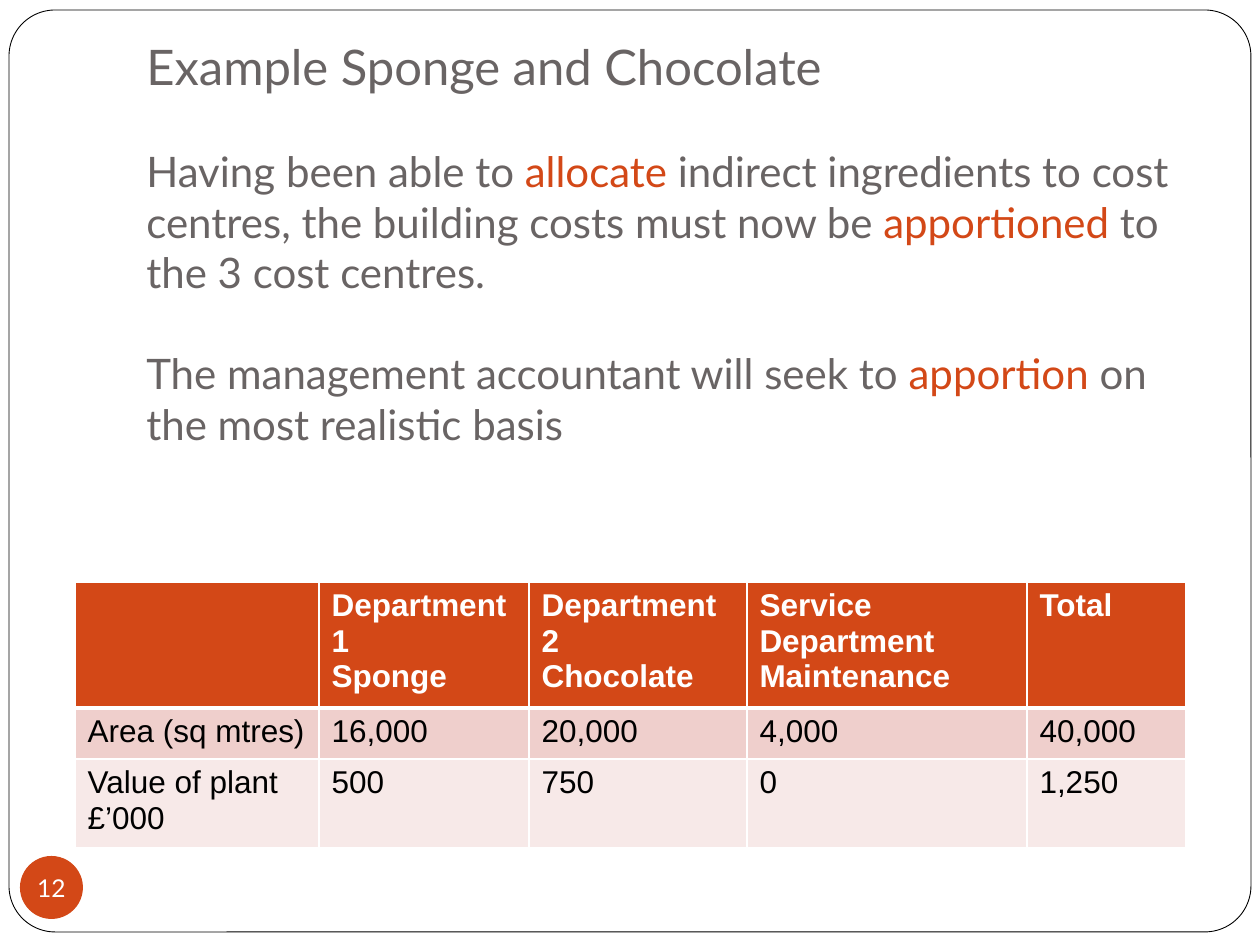
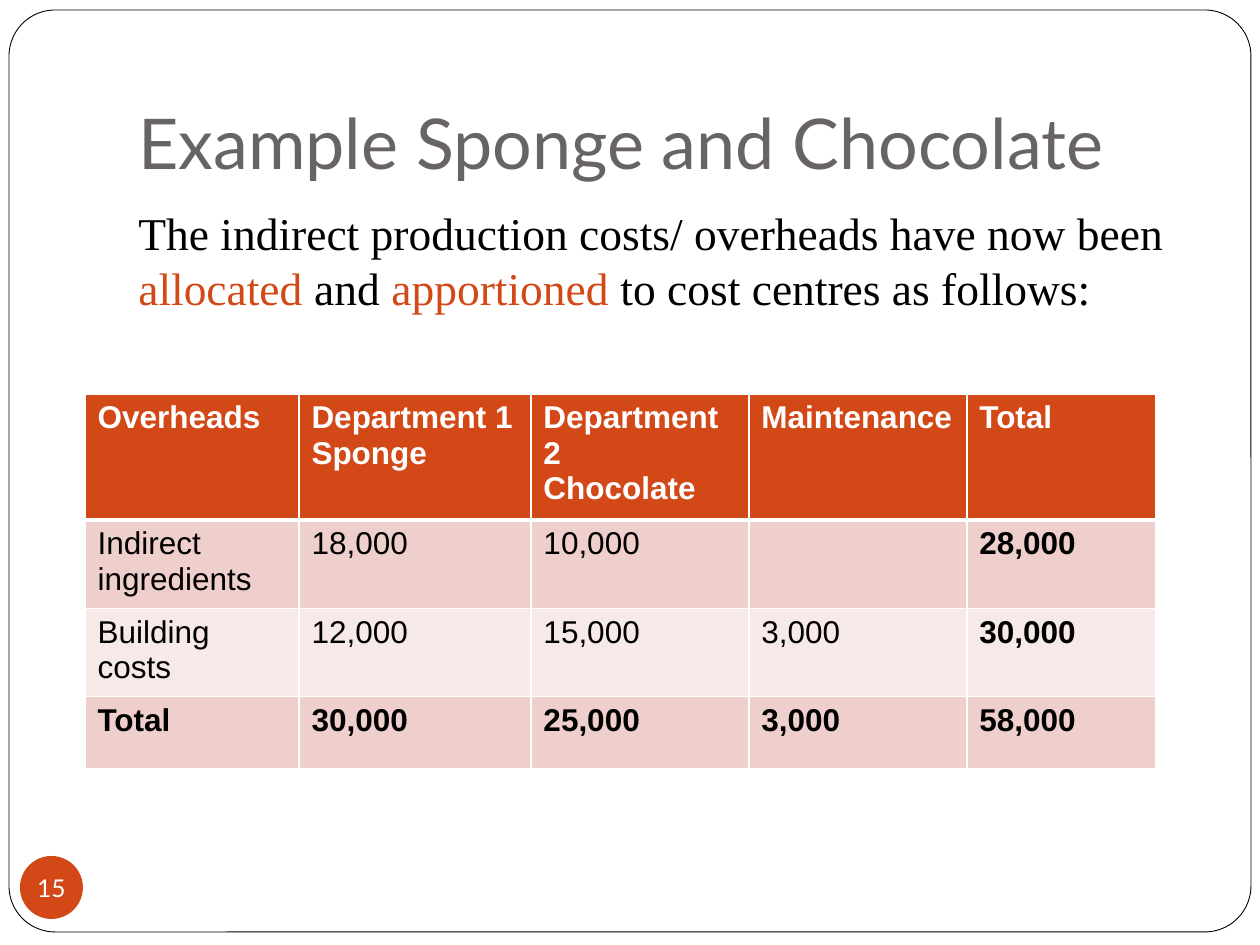
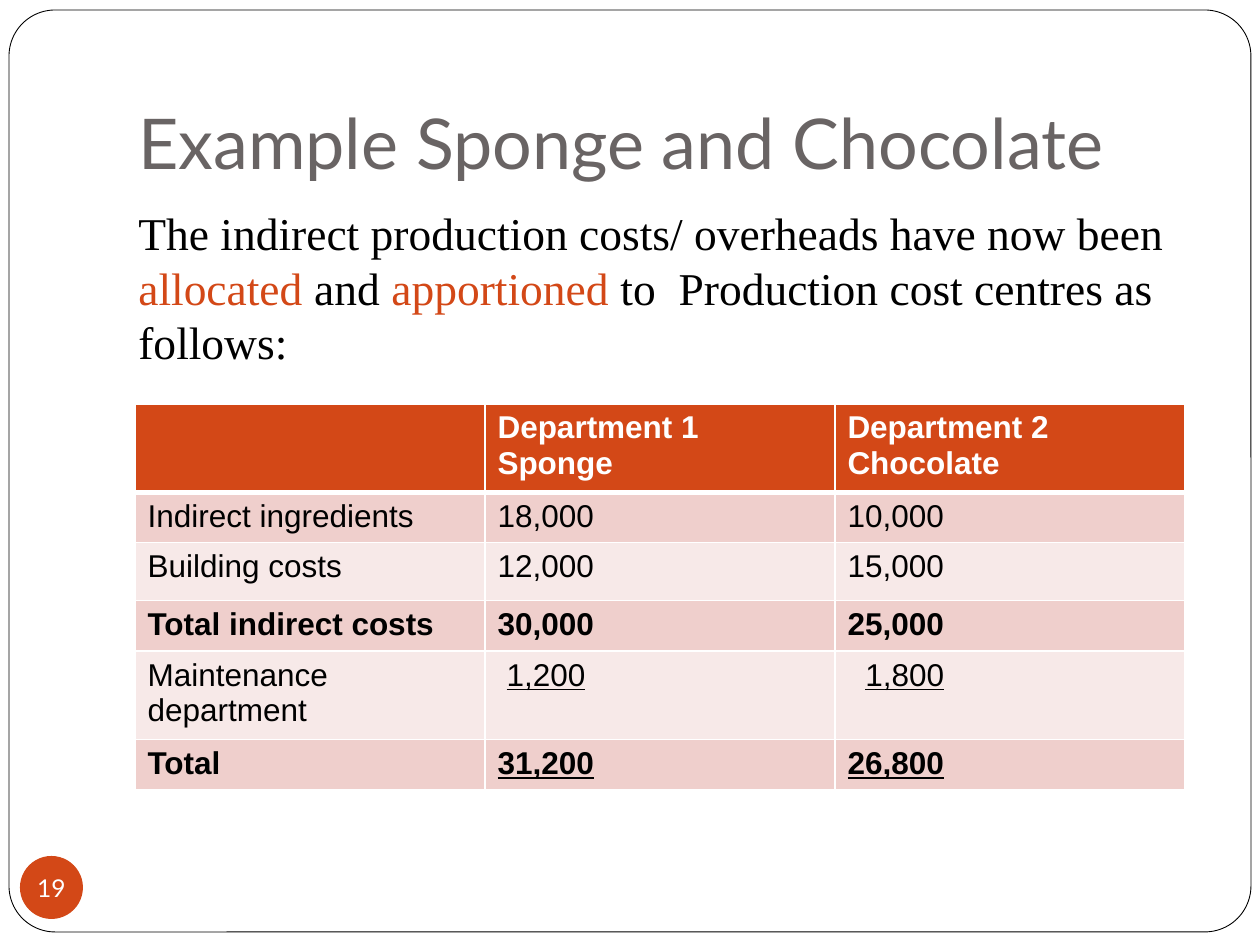
"""Build three slides on allocating and apportioning overheads to cost centres."""
from dataclasses import dataclass, field

import lxml.etree
import pptx
import pptx.dml.color
import pptx.enum.shapes
import pptx.enum.text
import pptx.oxml.ns
import pptx.util

EMU_PER_PX = 914400 // 126


@dataclass(frozen=True)
class Theme:
    """Colours, fonts and type sizes shared by the slides."""

    accent: str = "D34817"
    grey: str = "696464"
    black: str = "000000"
    white: str = "FFFFFF"
    bands: tuple[str, str] = ("EFCFCC", "F7E9E8")
    heading_font: str = "Lato"
    body_font: str = "Times New Roman"
    table_font: str = "Arial"
    title_size: int = 40
    small_title_size: int = 28
    statement_size: int = 24
    body_size: int = 26
    table_size: int = 18
    number_size: int = 14


@dataclass(frozen=True)
class Box:
    """A rectangle in px."""

    left: int
    top: int
    width: int
    height: int


@dataclass(frozen=True)
class TableSpec:
    """Content, grid and emphasis of one table."""

    left: int
    top: int
    columns: list[int]
    rows: list[int]
    cells: list[list[str]]
    bold_rows: tuple[int, ...] = ()
    bold_columns: tuple[int, ...] = ()
    underlined_rows: tuple[int, ...] = ()
    indents: dict[tuple[int, int], int] = field(default_factory=dict)


THEME = Theme()
FRAME = Box(9, 10, 1242, 922)
NUMBER_DISC = Box(20, 856, 63, 63)
STATEMENT = Box(134, 26, 1071, 435)
TITLE = Box(126, 38, 1071, 158)
BODY = Box(126, 199, 1071, 630)
TITLE_TEXT = "Example Sponge and Chocolate"
INTRODUCTION = "The indirect production costs/ overheads have now been *allocated* and *apportioned* to "

BASIS_TABLE = TableSpec(
    75, 582, [244, 210, 218, 280, 159], [118, 51, 83],
    [
        ["", "Department 1\nSponge", "Department 2\nChocolate", "Service Department\nMaintenance", "Total"],
        ["Area (sq mtres)", "16,000", "20,000", "4,000", "40,000"],
        ["Value of plant £’000", "500", "750", "0", "1,250"],
    ],
)
COST_CENTRE_TABLE = TableSpec(
    85, 394, [214, 232, 218, 218, 189], [118, 83, 83, 72],
    [
        ["Overheads", "Department 1 Sponge", "Department 2\nChocolate", "Maintenance", "Total"],
        ["Indirect ingredients", "18,000", "10,000", "", "28,000"],
        ["Building costs", "12,000", "15,000", "3,000", "30,000"],
        ["Total", "30,000", "25,000", "3,000", "58,000"],
    ],
    bold_rows=(3,),
    bold_columns=(4,),
)
PRODUCTION_TABLE = TableSpec(
    135, 404, [350] * 3, [82, 47, 58, 48, 83, 48],
    [
        ["", "Department 1\nSponge", "Department 2\nChocolate"],
        ["Indirect ingredients", "18,000", "10,000"],
        ["Building costs", "12,000", "15,000"],
        ["Total indirect costs", "30,000", "25,000"],
        ["Maintenance department", "1,200", "1,800"],
        ["Total", "31,200", "26,800"],
    ],
    bold_rows=(3, 5),
    underlined_rows=(4, 5),
    indents={(4, 1): 9, (4, 2): 18},
)


def px(length: int) -> int:
    """Turn px into EMU."""
    return pptx.util.Emu(length * EMU_PER_PX)


def place(box: Box) -> tuple[int, int, int, int]:
    """Return the left, top, width and height of a box in EMU."""
    return px(box.left), px(box.top), px(box.width), px(box.height)


def rgb(colour: str) -> pptx.dml.color.RGBColor:
    """Turn a hex string into a colour."""
    return pptx.dml.color.RGBColor.from_string(colour)


def write_text(frame, text: str, *, font: str, size: int, colour: str, bold: bool = False,
               underline: bool = False, align=None, space_before: float = 0,
               line_spacing: float | None = None) -> None:
    """Append a paragraph per line, with the pieces between asterisks in the accent colour."""
    for line in text.split("\n"):
        paragraph = frame.paragraphs[-1]
        if paragraph.runs:
            paragraph = frame.add_paragraph()
        paragraph.alignment = align
        paragraph.space_before = pptx.util.Pt(space_before)
        if line_spacing:
            paragraph.line_spacing = pptx.util.Pt(line_spacing)
        for index, piece in enumerate(line.split("*")):
            if not piece:
                continue
            run = paragraph.add_run()
            run.text = piece
            run.font.name = font
            run.font.size = pptx.util.Pt(size)
            run.font.bold = bold
            run.font.underline = underline
            run.font.color.rgb = rgb(THEME.accent if index % 2 else colour)


def add_text_frame(slide, box: Box, *, at_bottom: bool = False):
    """Add a wrapping text box and return its text frame."""
    frame = slide.shapes.add_textbox(*place(box)).text_frame
    frame.word_wrap = True
    if at_bottom:
        frame.vertical_anchor = pptx.enum.text.MSO_ANCHOR.BOTTOM
        frame.margin_bottom = pptx.util.Inches(0.1)
    return frame


def add_panel(slide, kind, box: Box, fill: str, line: str | None = None):
    """Add a flat filled shape with an optional thin outline."""
    shape = slide.shapes.add_shape(kind, *place(box))
    shape.shadow.inherit = False
    shape.fill.solid()
    shape.fill.fore_color.rgb = rgb(fill)
    if line:
        shape.line.color.rgb = rgb(line)
        shape.line.width = pptx.util.Pt(0.5)
    else:
        shape.line.fill.background()
    return shape


def set_border(cell, edge: str, points: int) -> None:
    """Give one edge of a cell a white line."""
    qn = pptx.oxml.ns.qn
    line = lxml.etree.SubElement(cell._tc.get_or_add_tcPr(), qn(f"a:ln{edge}"),
                                 w=str(pptx.util.Pt(points)))
    fill = lxml.etree.SubElement(line, qn("a:solidFill"))
    lxml.etree.SubElement(fill, qn("a:srgbClr"), val=THEME.white)


def add_table(slide, spec: TableSpec) -> None:
    """Add a table with an accent header and banded rows."""
    box = Box(spec.left, spec.top, sum(spec.columns), sum(spec.rows))
    table = slide.shapes.add_table(len(spec.rows), len(spec.columns), *place(box)).table
    for column, width in zip(table.columns, spec.columns):
        column.width = px(width)
    for row, height in zip(table.rows, spec.rows):
        row.height = px(height)
    for row_index, row in enumerate(spec.cells):
        is_header = row_index == 0
        for column_index, text in enumerate(row):
            cell = table.cell(row_index, column_index)
            indent = spec.indents.get((row_index, column_index), 0)
            cell.margin_left = pptx.util.Inches(0.1) + px(indent)
            for edge in "LRTB":
                beside_header = (edge, row_index) in (("B", 0), ("T", 1))
                set_border(cell, edge, 3 if beside_header else 1)
            cell.fill.solid()
            cell.fill.fore_color.rgb = rgb(THEME.accent if is_header else THEME.bands[(row_index - 1) % 2])
            write_text(
                cell.text_frame, text, font=THEME.table_font, size=THEME.table_size,
                colour=THEME.white if is_header else THEME.black,
                bold=is_header or row_index in spec.bold_rows or column_index in spec.bold_columns,
                underline=row_index in spec.underlined_rows and column_index > 0,
            )


def add_base_slide(presentation, number: int):
    """Add a blank slide with the rounded frame and the numbered disc."""
    slide = presentation.slides.add_slide(presentation.slide_layouts[6])
    shapes = pptx.enum.shapes.MSO_SHAPE
    frame = add_panel(slide, shapes.ROUNDED_RECTANGLE, FRAME, THEME.white, THEME.black)
    frame.adjustments[0] = 0.05
    disc = add_panel(slide, shapes.OVAL, NUMBER_DISC, THEME.accent)
    text = disc.text_frame
    text.word_wrap = False
    text.vertical_anchor = pptx.enum.text.MSO_ANCHOR.MIDDLE
    text.margin_left = text.margin_right = text.margin_top = text.margin_bottom = 0
    write_text(text, str(number), font=THEME.heading_font, size=THEME.number_size,
               colour=THEME.white, align=pptx.enum.text.PP_ALIGN.CENTER)
    return slide


def add_statement_slide(presentation, number: int, statement: str, table: TableSpec) -> None:
    """Add a slide whose title and statement share one text block."""
    slide = add_base_slide(presentation, number)
    frame = add_text_frame(slide, STATEMENT, at_bottom=True)
    write_text(frame, TITLE_TEXT, font=THEME.heading_font, size=THEME.small_title_size,
               colour=THEME.grey)
    write_text(frame, statement, font=THEME.heading_font, size=THEME.statement_size,
               colour=THEME.grey, space_before=29)
    add_table(slide, table)


def add_summary_slide(presentation, number: int, body: str, table: TableSpec) -> None:
    """Add a slide with a large title, an introduction and a table."""
    slide = add_base_slide(presentation, number)
    write_text(add_text_frame(slide, TITLE, at_bottom=True), TITLE_TEXT,
               font=THEME.heading_font, size=THEME.title_size, colour=THEME.grey)
    write_text(add_text_frame(slide, BODY), body, font=THEME.body_font, size=THEME.body_size,
               colour=THEME.black, space_before=2, line_spacing=31.2)
    add_table(slide, table)


def main() -> None:
    """Build and save the presentation."""
    presentation = pptx.Presentation()
    presentation.slide_width = px(1260)
    presentation.slide_height = px(945)
    add_statement_slide(
        presentation, 12,
        "Having been able to *allocate* indirect ingredients to cost centres, the building costs "
        "must now be *apportioned* to the 3 cost centres.\n"
        "The management accountant will seek to *apportion* on the most realistic basis",
        BASIS_TABLE,
    )
    add_summary_slide(presentation, 15, INTRODUCTION + "cost centres as follows:", COST_CENTRE_TABLE)
    add_summary_slide(presentation, 19, INTRODUCTION + " Production cost centres as follows:",
                      PRODUCTION_TABLE)
    presentation.save("out.pptx")


if __name__ == "__main__":
    main()
